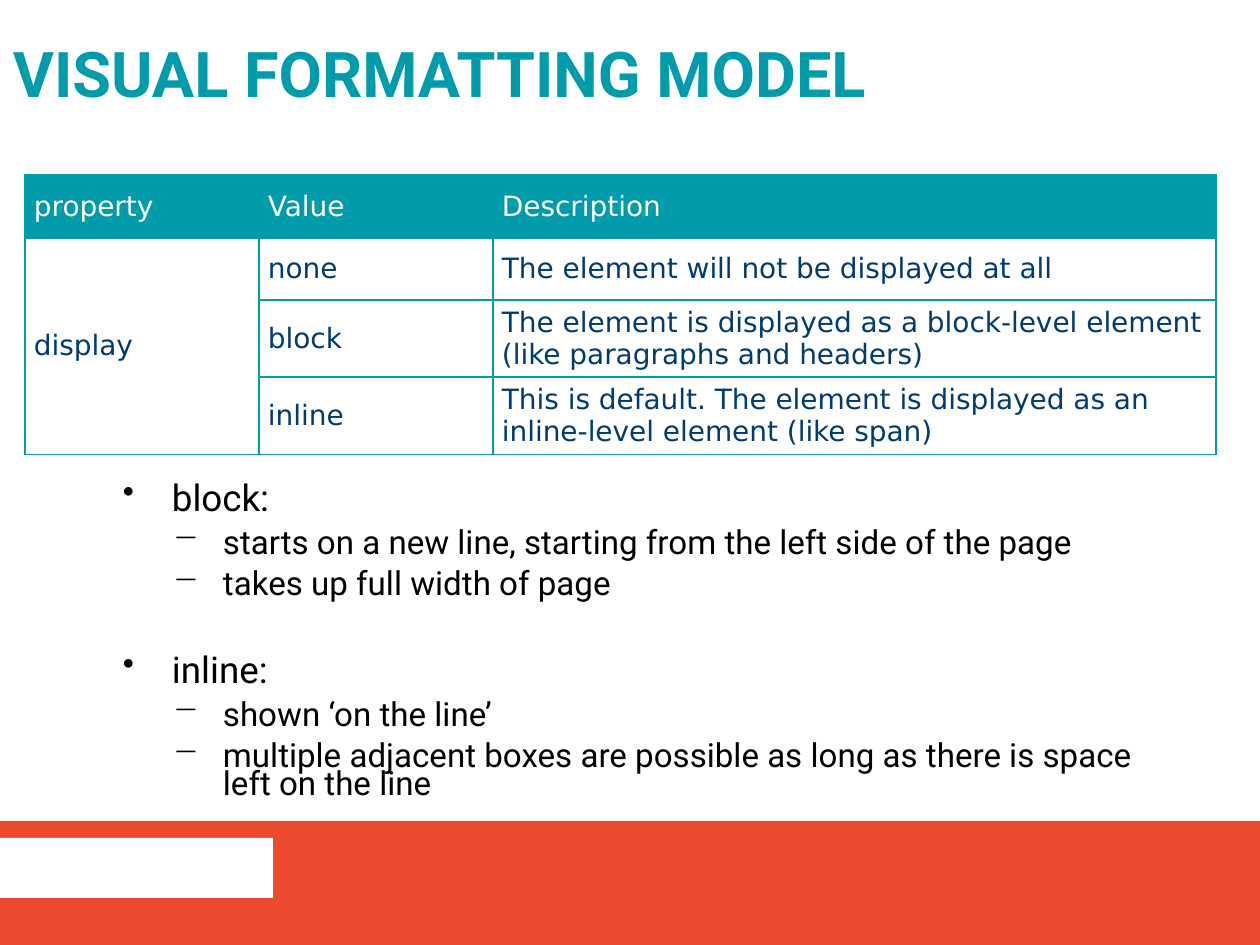
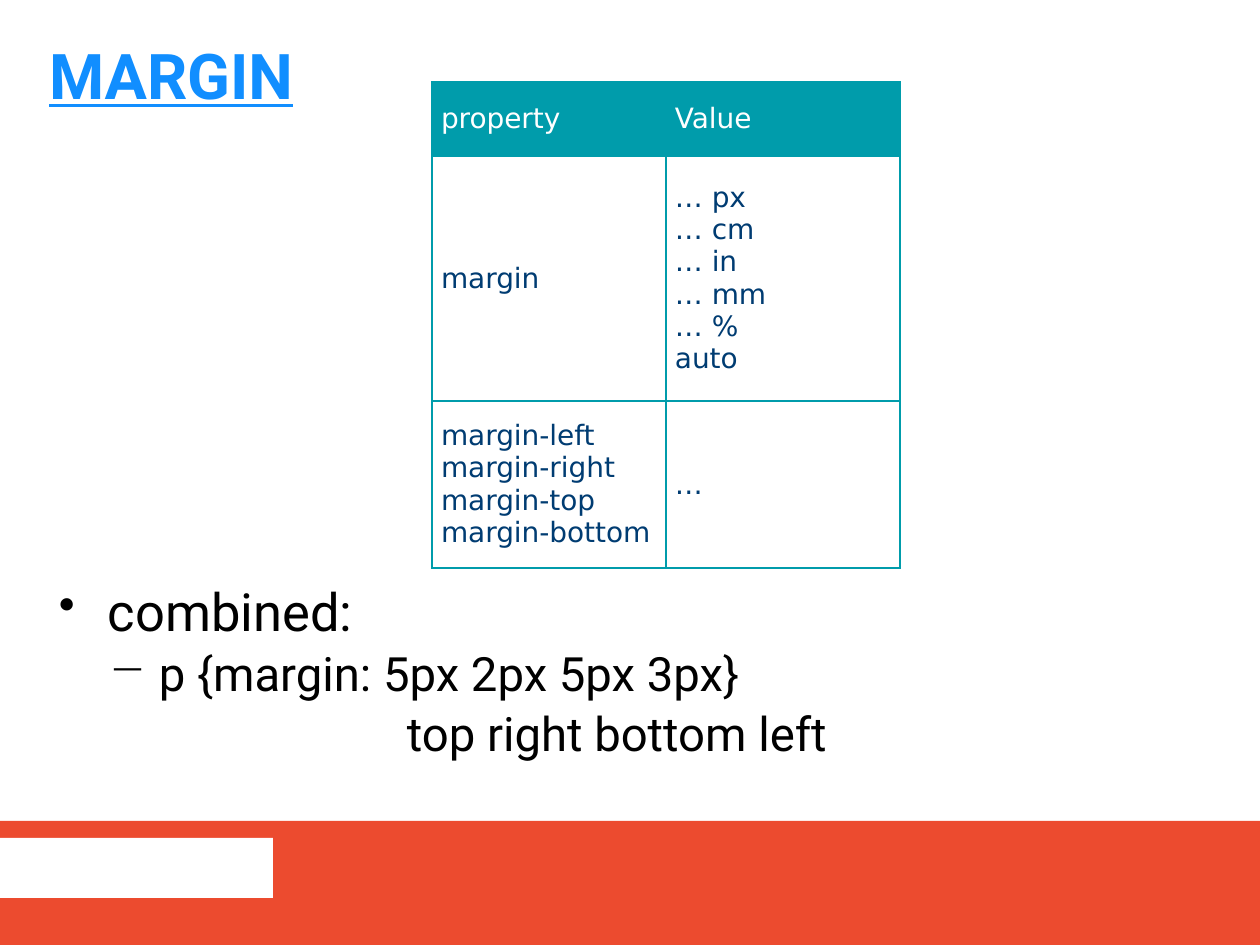
from lxml import etree
from pptx import Presentation, util as u
from pptx.dml.color import RGBColor
from pptx.enum import shapes, text
from pptx.oxml.ns import qn

EMU_PER_PX = 914400 / 126
PAGE_WIDTH, PAGE_HEIGHT = 1260, 945
TITLE_ONLY = 5

TEAL, NAVY, LINK_BLUE = "009CAB", "003C72", "118EFF"
ORANGE, WHITE, BLACK = "EC4B2F", "FFFFFF", "000000"
TEXT_FONT, TABLE_FONT = "Roboto", "DejaVu Sans"

BODY_INSETS = (59, 35, 59, 0)
CELL_INSETS = (9, 5, 9, 5)
# bullet, bullet size in percent, left margin and hanging indent in px
LIST_LEVELS = [("•", 90, 49, -49), ("−", 100, 100, -50)]


def px(length):
    return u.Emu(round(length * EMU_PER_PX))


def color(hex_code):
    return RGBColor.from_string(hex_code)


def set_all(target, values):
    for name, value in values.items():
        setattr(target, name, value)


def set_insets(target, insets):
    sides = ("margin_left", "margin_top", "margin_right", "margin_bottom")
    set_all(target, dict(zip(sides, map(px, insets))))


def style_font(font, hex_code, **values):
    set_all(font, values)
    font.color.rgb = color(hex_code)


def add_band(page, left, top, width, height, hex_code):
    band = page.shapes.add_shape(shapes.MSO_SHAPE.RECTANGLE,
                                 px(left), px(top), px(width), px(height))
    band.shadow.inherit = False
    band.fill.solid()
    band.fill.fore_color.rgb = color(hex_code)
    band.line.fill.background()


def add_page(deck, title, hex_code, insets, underline=False):
    """Add a slide with its title and the footer bands."""
    page = deck.slides.add_slide(deck.slide_layouts[TITLE_ONLY])
    add_band(page, 0, 821, PAGE_WIDTH, 124, ORANGE)
    add_band(page, 0, 838, 273, 60, WHITE)

    box = page.shapes.title
    set_all(box, dict(left=0, top=0, width=px(PAGE_WIDTH), height=px(158)))
    frame = box.text_frame
    frame.text = title
    set_all(frame, dict(word_wrap=True, auto_size=text.MSO_AUTO_SIZE.NONE,
                        vertical_anchor=text.MSO_ANCHOR.MIDDLE))
    set_insets(frame, insets)
    para = frame.paragraphs[0]
    set_all(para, dict(alignment=text.PP_ALIGN.LEFT, line_spacing=0.8))
    style_font(para.runs[0].font, hex_code, name=TEXT_FONT, size=u.Pt(36),
               bold=True, underline=underline)
    return page


def set_bullet(para, level):
    bullet, percent, margin, indent = LIST_LEVELS[level]
    set_indent(para, margin, indent)
    properties = para._p.get_or_add_pPr()
    etree.SubElement(properties, qn("a:buSzPct")).set("val", str(percent * 1000))
    etree.SubElement(properties, qn("a:buChar")).set("char", bullet)


def set_indent(para, margin, indent=0):
    properties = para._p.get_or_add_pPr()
    properties.set("marL", str(px(margin)))
    properties.set("indent", str(px(indent)))


def add_list(page, left, top, width, height, items, sizes, line_spacing):
    """Add a bulleted list of (level, wording); return its paragraphs."""
    box = page.shapes.add_textbox(px(left), px(top), px(width), px(height))
    frame = box.text_frame
    frame.word_wrap = True
    set_insets(frame, BODY_INSETS)
    for index, (level, wording) in enumerate(items):
        para = frame.add_paragraph() if index else frame.paragraphs[0]
        set_all(para, dict(level=level, line_spacing=line_spacing,
                           space_before=u.Pt(4), space_after=u.Pt(4)))
        span = para.add_run()
        span.text = wording
        style_font(span.font, BLACK, name=TEXT_FONT, size=u.Pt(sizes[level]))
        set_bullet(para, level)
    return frame.paragraphs


def set_borders(cell, hex_code):
    properties = cell._tc.get_or_add_tcPr()
    for side in "LRTB":
        line = etree.SubElement(properties, qn(f"a:ln{side}"), w=str(u.Pt(1)))
        fill = etree.SubElement(line, qn("a:solidFill"))
        etree.SubElement(fill, qn("a:srgbClr")).set("val", hex_code)


def format_cell(cell, wording, is_header):
    cell.text = wording
    cell.vertical_anchor = text.MSO_ANCHOR.MIDDLE
    set_insets(cell, CELL_INSETS)
    set_borders(cell, TEAL)
    cell.fill.solid()
    cell.fill.fore_color.rgb = color(TEAL if is_header else WHITE)
    for para in cell.text_frame.paragraphs:
        style_font(para.font, WHITE if is_header else NAVY,
                   name=TABLE_FONT, size=u.Pt(16))
        for span in para.runs:
            style_font(span.font, WHITE if is_header else NAVY,
                       name=TABLE_FONT, size=u.Pt(16))


def add_property_table(page, left, top, widths, heights, rows):
    frame = page.shapes.add_table(len(rows), len(widths), px(left), px(top),
                                  px(sum(widths)), px(sum(heights)))
    table = frame.table
    set_all(table, dict(first_row=False, horz_banding=False))
    for column, width in zip(table.columns, widths):
        column.width = px(width)
    for row, height in zip(table.rows, heights):
        row.height = px(height)
    for row_index, row in enumerate(rows):
        for column_index, wording in enumerate(row):
            format_cell(table.cell(row_index, column_index), wording,
                        is_header=row_index == 0)
    return table


def add_display_page(deck):
    page = add_page(deck, "VISUAL FORMATTING MODEL", TEAL, (13, 6, 13, 6))
    paras = add_list(page, 64, 452, 1134, 367, [
        (0, "block:"),
        (1, "starts on a new line, starting from the left side of the page"),
        (1, "takes up full width of page"),
        (0, "inline:"),
        (1, "shown ‘on the line’"),
        (1, "multiple adjacent boxes are possible as long as there is space "
            "left on the line"),
    ], sizes=(21, 18.9), line_spacing=0.7)
    paras[3].space_before = u.Pt(29)

    table = add_property_table(page, 25, 175, (234, 234, 723), (63, 62, 74, 73), [
        ("property", "Value", "Description"),
        ("display", "none", "The element will not be displayed at all"),
        ("", "block", "The element is displayed as a block-level element "
                      "(like paragraphs and headers)"),
        ("", "inline", "This is default. The element is displayed as an "
                       "inline-level element (like span)"),
    ])
    table.cell(1, 0).merge(table.cell(3, 0))


def add_margin_page(deck):
    page = add_page(deck, "MARGIN", LINK_BLUE, (49, 25, 49, 20), underline=True)
    paras = add_list(page, 0, 556, PAGE_WIDTH, 213, [
        (0, "combined:"),
        (1, "p {margin: 5px 2px 5px 3px}"),
        (1, "top right bottom left"),
    ], sizes=(30, 27), line_spacing=0.8)
    side_order = paras[2]
    set_indent(side_order, 348)
    properties = side_order._p.pPr
    for tag in ("a:buSzPct", "a:buChar"):
        properties.remove(properties.find(qn(tag)))
    etree.SubElement(properties, qn("a:buNone"))

    add_property_table(page, 432, 82, (234, 234), (74, 245, 167), [
        ("property", "Value"),
        ("margin", "… px\n… cm\n… in\n… mm\n… %\nauto"),
        ("margin-left\nmargin-right\nmargin-top\nmargin-bottom", "…"),
    ])


def main():
    deck = Presentation()
    set_all(deck, dict(slide_width=px(PAGE_WIDTH), slide_height=px(PAGE_HEIGHT)))
    add_display_page(deck)
    add_margin_page(deck)
    deck.save("out.pptx")


if __name__ == "__main__":
    main()
